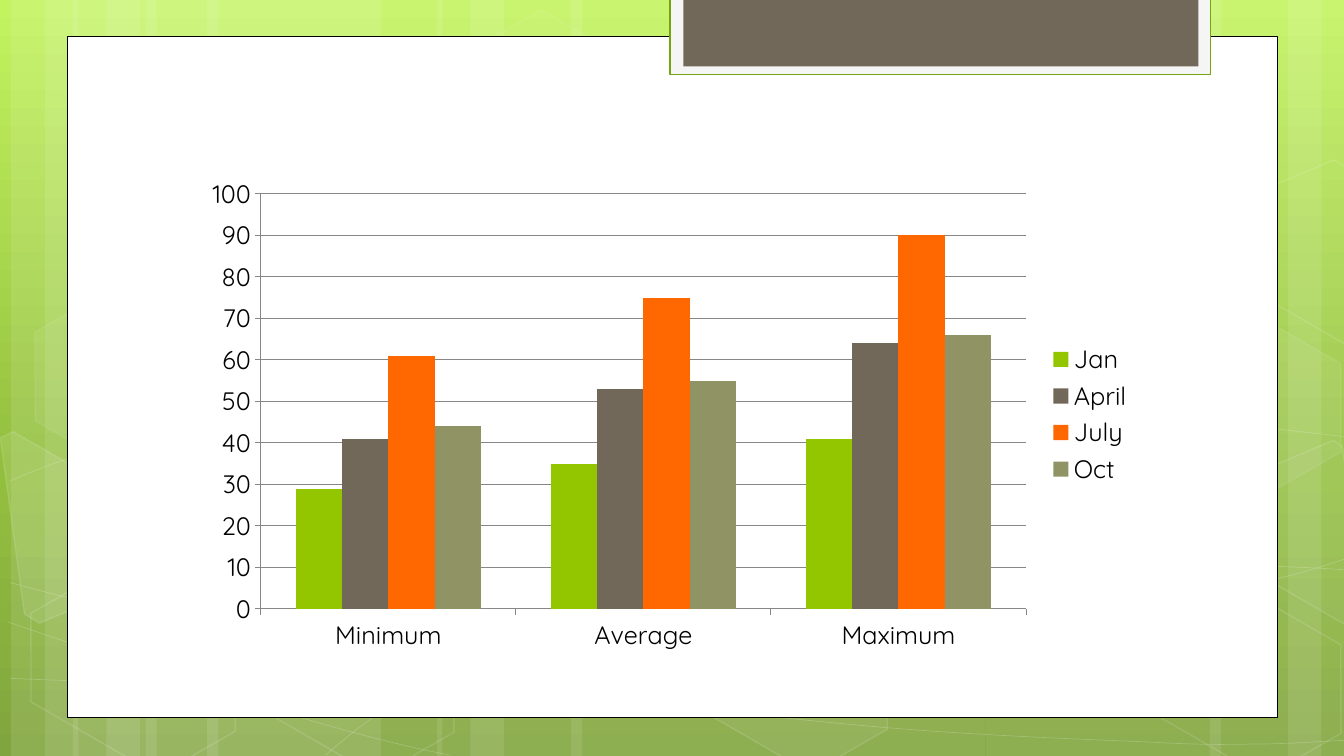
from copy import deepcopy
from math import cos, radians, sin
from lxml.etree import SubElement
from pptx import Presentation
from pptx.chart.data import CategoryChartData
from pptx.dml.color import RGBColor
from pptx.enum.chart import XL_CHART_TYPE, XL_LEGEND_POSITION, XL_TICK_MARK
from pptx.enum.shapes import MSO_SHAPE
from pptx.oxml.ns import qn
from pptx.util import Inches, Pt

CELL = Inches(1)  # the grid has one-inch cells
COLS, ROWS = 40 / 3, 7.5
WHITE = "FFFFFF"
TILT = 30


def hue(code):
    return RGBColor.from_string(code)


def paint(shape, fill=None, line=None, width=1):
    """Fill and line are (hex, percent opaque) pairs or None."""
    shape.shadow.inherit = False
    shape.line.width = Pt(width)
    for part, tone, home in ((shape.fill, fill, "a:solidFill"),
                             (shape.line.fill, line, "a:ln/a:solidFill")):
        if tone is None:
            part.background()
            continue
        part.solid()
        part.fore_color.rgb = hue(tone[0])
        if tone[1] < 100:
            clr = shape._element.spPr.xpath(home + "/a:srgbClr")[0]
            SubElement(clr, qn("a:alpha"), val=str(tone[1] * 1000))


deck = Presentation()
deck.slide_width, deck.slide_height = round(COLS * CELL), round(ROWS * CELL)
slide = deck.slides.add_slide(deck.slide_layouts[6])
shapes = slide.shapes

# Background gradient, top to bottom
back = slide.background.fill
back.gradient()
back.gradient_angle = 270
stops = slide.element.xpath(".//a:gsLst")[0]
stops.append(deepcopy(stops[-1]))
for stop, (place, code) in zip(back.gradient_stops,
                               ((0, "C3F35F"), (0.62, "93BF3F"), (1, "81A53E"))):
    stop.position, stop.color.rgb = place, hue(code)

# Pale stripes: left and width in ninths of a cell
for left, wide in ((13, 21), (1, 6), (4, 10), (18.5, 21), (6.5, 6), (9.5, 10),
                   (88, 21), (115, 6), (108, 10), (51, 37), (39, 6), (42, 10)):
    bar = shapes.add_shape(MSO_SHAPE.RECTANGLE, round(left * CELL / 9), 0,
                           round(wide * CELL / 9), deck.slide_height)
    paint(bar, (WHITE, 10))

# Thin curves: a start, then three points for each cubic arc
CURVES = (
    ((0.1, 6.73), (0.82, 6.76), (1.54, 6.79), (2.54, 6.78), (3.54, 6.77), (4.77, 6.75),
     (6.1, 6.65), (7.44, 6.55), (9.33, 6.36), (10.55, 6.17), (11.78, 5.98),
     (13.03, 5.68), (13.43, 5.51)),
    ((0.1, 4.77), (0.48, 4.61), (0.86, 4.46), (1.62, 4.31), (2.38, 4.16), (3.45, 3.94),
     (4.63, 3.87), (5.82, 3.8), (7.25, 3.79), (8.72, 3.87), (10.19, 3.95),
     (12.63, 4.26), (13.43, 4.34)),
    ((0.08, 6.17), (1.69, 6.72), (3.3, 7.27), (4.46, 7.49)),
    ((0.1, 5.78), (0.51, 5.89), (0.93, 6), (1.71, 6.16), (2.48, 6.31), (3.64, 6.56),
     (4.75, 6.73), (5.86, 6.9), (7.27, 7.08), (8.37, 7.18), (9.48, 7.29),
     (10.66, 7.33), (11.37, 7.36), (12.07, 7.4), (12.25, 7.38), (12.6, 7.38),
     (12.94, 7.37), (13.19, 7.35), (13.43, 7.34)),
    ((3.23, 7.49), (3.47, 7.29), (3.7, 7.09), (4.03, 6.91), (4.35, 6.73), (4.8, 6.53),
     (5.17, 6.39), (5.54, 6.25), (5.77, 6.19), (6.26, 6.09), (6.75, 5.99),
     (7.65, 5.85), (8.11, 5.78), (8.58, 5.71), (8.65, 5.71), (9.07, 5.69),
     (9.48, 5.66), (10.13, 5.63), (10.59, 5.62), (11.05, 5.61), (11.82, 5.62),
     (11.82, 5.62), (12.1, 5.62), (12.4, 5.62), (12.7, 5.62), (12.95, 5.63),
     (13.17, 5.64), (13.29, 5.65), (13.41, 5.66), (13.37, 5.65), (13.41, 5.66)),
)
for curve in CURVES:
    dots = [(x * CELL, y * CELL) for x, y in curve]
    pen = shapes.build_freeform(*dots[0])
    pen.add_line_segments(dots[1:], close=False)
    wave = pen.convert_to_shape()
    track = wave._element.xpath(".//a:path")[0]
    legs = track.findall(qn("a:lnTo"))
    for i in range(0, len(legs), 3):
        arc = SubElement(track, qn("a:cubicBezTo"))
        for leg in legs[i:i + 3]:
            arc.append(leg[0])
            track.remove(leg)
    paint(wave, line=(WHITE, 20), width=0.5)

# Tilted hexagons: left, top, fill and line opacity
for left, top, fill, line in ((4.45, 0.36, 4, 8), (6.62, 5.89, 6, 12), (0.15, 5.91, 0, 12),
                              (0.19, 3.12, 7, 8), (2.32, 5.92, 0, 12),
                              (11.12, 5.93, 0, 12), (11.12, 3.14, 7, 8)):
    hexa = shapes.add_shape(MSO_SHAPE.HEXAGON, round(left * CELL), round(top * CELL),
                            round(2.34 * CELL), round(1.52 * CELL))
    hexa.adjustments[0] = 0.29
    hexa.rotation = TILT
    paint(hexa, (WHITE, fill) if fill else None, (WHITE, line))

# Hexagons cut by the slide's edges: fill opacity, centre, corners as seen
turn, rise = cos(radians(TILT)), sin(radians(TILT))
for fill, (mid, high), ends in (
        (10, (0.48, 5.35), ((0, 4.34), (0.13, 4.28), (1.15, 4.87), (1.27, 5.81),
                            (0.39, 6.18), (0.24, 6.09))),
        (4, (13.13, 5.2), ((12.35, 4.74), (13.23, 4.37), (13.32, 4.43), (13.57, 6.25),
                           (13.49, 6.28), (12.47, 5.69))),
        (0, (13.13, 2.41), ((12.35, 1.96), (13.23, 1.59), (13.34, 1.65), (13.57, 3.46),
                            (13.49, 3.5), (12.47, 2.91)))):
    dots = [((mid + (x - mid) * turn + (y - high) * rise) * CELL,
             (high - (x - mid) * rise + (y - high) * turn) * CELL) for x, y in ends]
    pen = shapes.build_freeform(*dots[0])
    pen.add_line_segments(dots[1:], close=True)
    part = pen.convert_to_shape()
    part.rotation = TILT
    paint(part, (WHITE, fill) if fill else None, (WHITE, 12))

# White panel and the tab at its top
for area, fill, line, width in (
        ((0.67, 0.36, 12, 6.76), WHITE, ("000000", 100), 0.5),
        ((6.65, -0.02, 5.36, 0.76), "F5F5F5", ("74A510", 100), 1.25),
        ((6.78, -0.02, 5.11, 0.68), "71685A", None, 0)):
    panel = shapes.add_shape(MSO_SHAPE.RECTANGLE, *[round(v * CELL) for v in area])
    paint(panel, (fill, 100), line, width)

# Column chart
MONTHS = (("Jan", (29, 35, 41), "94C600"), ("April", (41, 53, 64), "71685A"),
          ("July", (61, 75, 90), "FF6700"), ("Oct", (44, 55, 66), "909465"))
data = CategoryChartData()
data.categories = ("Minimum", "Average", "Maximum")
for name, vals, code in MONTHS:
    data.add_series(name, vals)
area = [round(v * CELL) for v in (1.92, 1.67, 9.42, 4.88)]
chart = shapes.add_chart(XL_CHART_TYPE.COLUMN_CLUSTERED, *area, data).chart
chart.has_legend = True
plot, base, scale = chart.plots[0], chart.category_axis, chart.value_axis
ticks = {"major_tick_mark": XL_TICK_MARK.OUTSIDE, "minor_tick_mark": XL_TICK_MARK.NONE}
for part, style in (
        (chart, {"has_title": False}),
        (chart.font, {"name": "Quicksand", "size": Pt(18)}),
        (chart.font.color, {"rgb": hue("000000")}),
        (chart.legend, {"position": XL_LEGEND_POSITION.RIGHT, "include_in_layout": False}),
        (plot, {"gap_width": 150, "overlap": 0, "vary_by_categories": False}),
        (base, ticks),
        (scale, {**ticks, "has_major_gridlines": True, "minimum_scale": 0,
                 "maximum_scale": 100, "major_unit": 10})):
    for key, value in style.items():
        setattr(part, key, value)
for rule in (base.format.line, scale.format.line, scale.major_gridlines.format.line):
    rule.color.rgb, rule.width = hue("878787"), Pt(0.75)
for month, (name, vals, code) in zip(plot.series, MONTHS):
    month.format.fill.solid()
    month.format.fill.fore_color.rgb = hue(code)
    month.invert_if_negative = False

deck.save("out.pptx")
